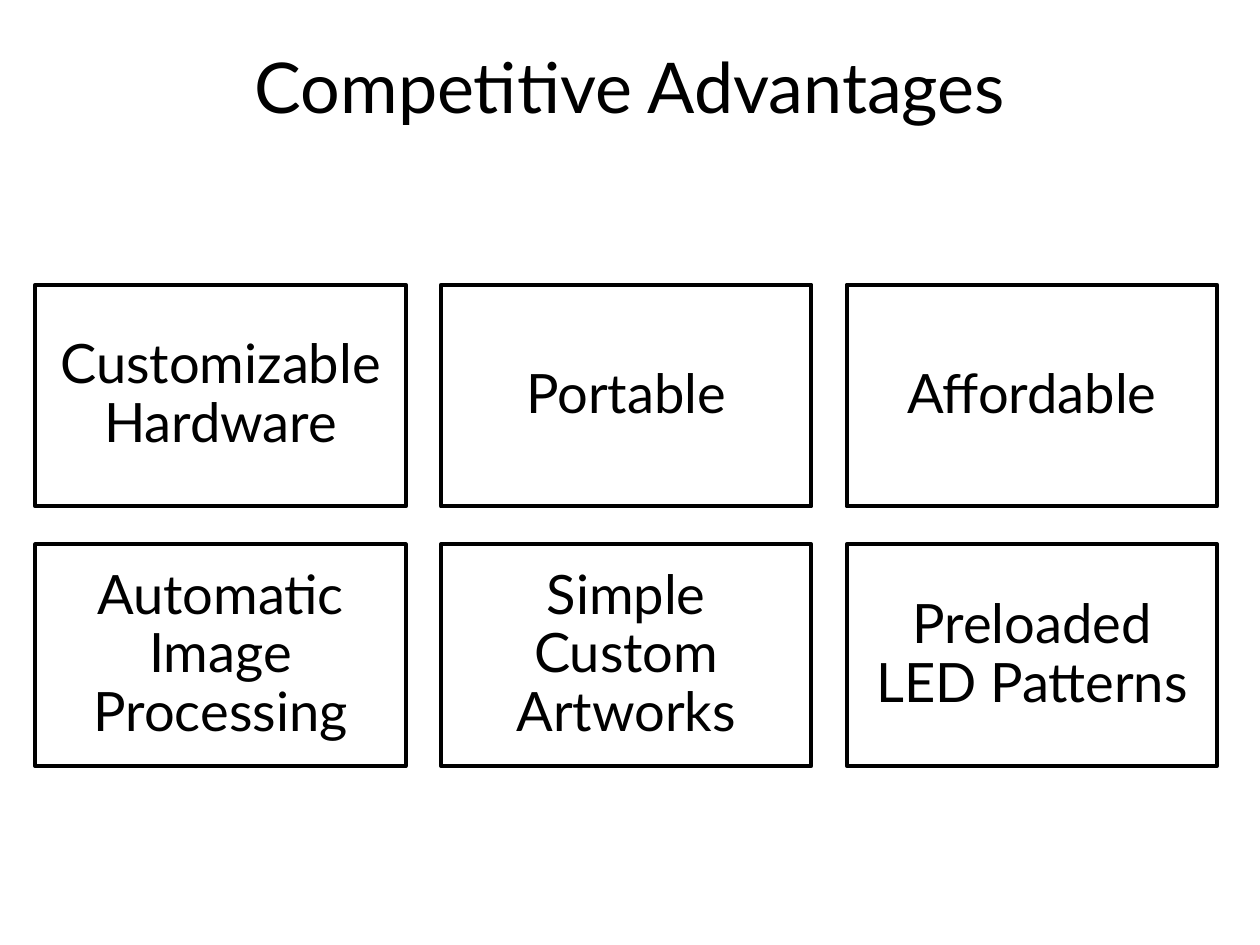
from dataclasses import dataclass
from typing import Any

from pptx import Presentation
from pptx import util as u
from pptx.dml.color import RGBColor
from pptx.enum import shapes, text

ADVANTAGES = [
    ["Customizable Hardware", "Portable", "Affordable"],
    ["Automatic Image Processing", "Simple Custom Artworks", "Preloaded LED Patterns"],
]


def color(value):
    """Turn a hex string into a colour."""
    return RGBColor.from_string(value)


@dataclass
class Deck:
    """Style, grid and current slide, with lengths in inches."""

    s: Any
    font: str = "Lato"
    ink: str = "000000"
    paper: str = "FFFFFF"
    left: float = 0.28
    top: float = 2.26
    width: float = 2.94
    height: float = 1.76
    col_step: float = 3.22
    row_step: float = 2.06

    def background(self):
        """Fill the slide background."""
        fill = self.s.background.fill
        fill.solid()
        fill.fore_color.rgb = color(self.paper)

    def label(self, sp, words, size):
        """Put one centred paragraph into a shape."""
        tf = sp.text_frame
        tf.word_wrap = True
        p = tf.paragraphs[0]
        p.text = words
        p.alignment = text.PP_ALIGN.CENTER
        p.font.name = self.font
        p.font.size = u.Pt(size)
        p.font.color.rgb = color(self.ink)
        return tf, p

    def title(self, words):
        """Add the slide title."""
        box = [u.Inches(n) for n in (0.77, 0.3, 8.46, 0.77)]
        self.label(self.s.shapes.add_textbox(*box), words, 40)

    def card(self, col, row, words):
        """Add an outlined card at a grid position."""
        box = (self.left + col * self.col_step, self.top + row * self.row_step,
               self.width, self.height)
        sp = self.s.shapes.add_shape(shapes.MSO_SHAPE.RECTANGLE, *map(u.Inches, box))
        sp.shadow.inherit = False
        sp.fill.background()
        sp.line.color.rgb = color(self.ink)
        sp.line.width = u.Pt(2.25)
        tf, p = self.label(sp, words, 31)
        tf.vertical_anchor = text.MSO_ANCHOR.MIDDLE
        tf.margin_left = tf.margin_right = u.Inches(0.13)
        tf.margin_top = tf.margin_bottom = u.Inches(0.13)
        p.line_spacing = 0.9


def main():
    """Build and save the slide."""
    prs = Presentation()
    prs.slide_width, prs.slide_height = u.Inches(10), u.Inches(7.5)
    deck = Deck(prs.slides.add_slide(prs.slide_layouts[6]))
    deck.background()
    deck.title("Competitive Advantages")
    for row, names in enumerate(ADVANTAGES):
        for col, name in enumerate(names):
            deck.card(col, row, name)
    prs.save("out.pptx")


if __name__ == "__main__":
    main()
